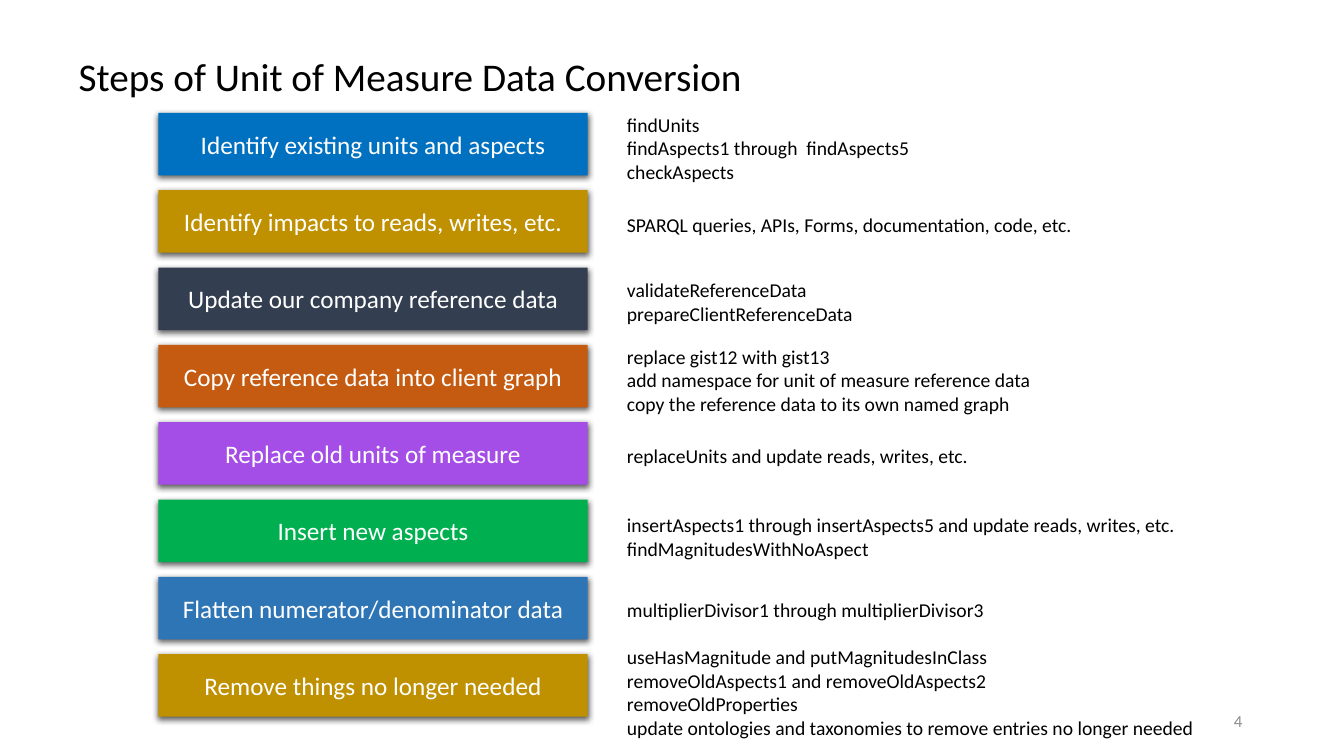
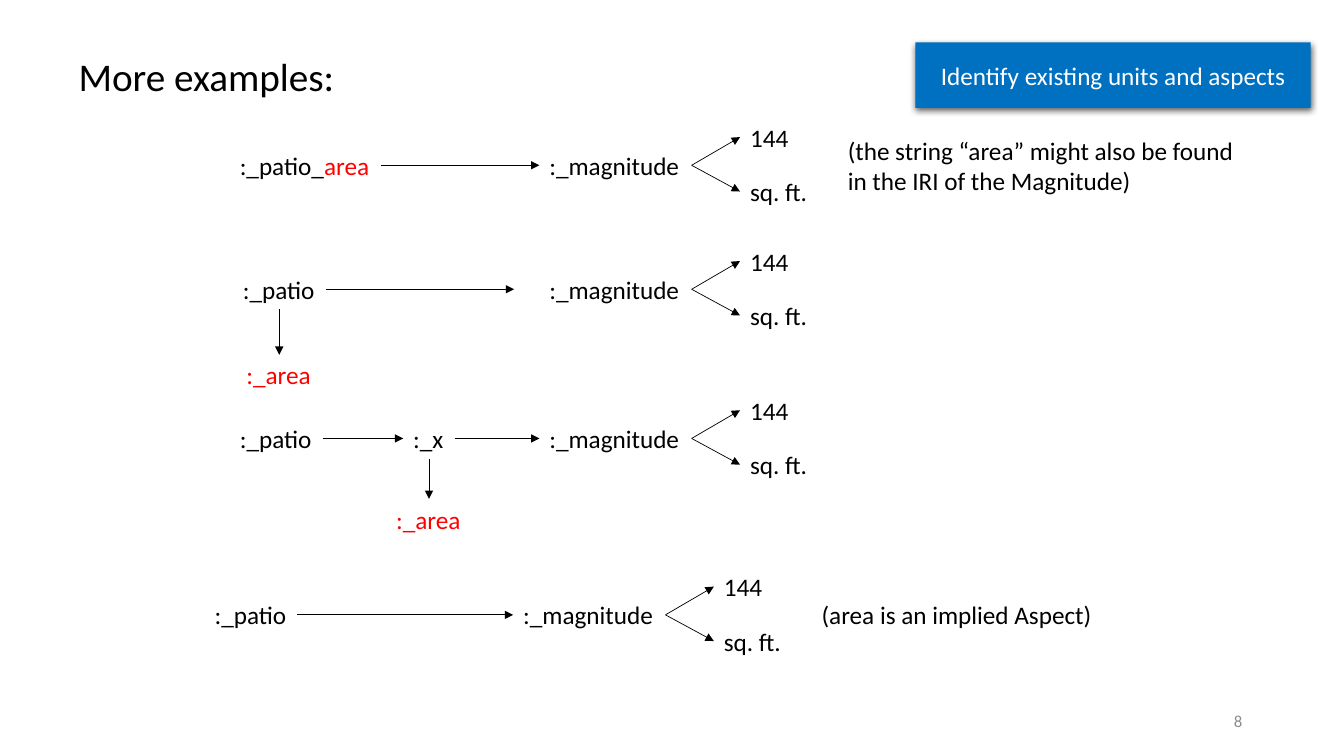
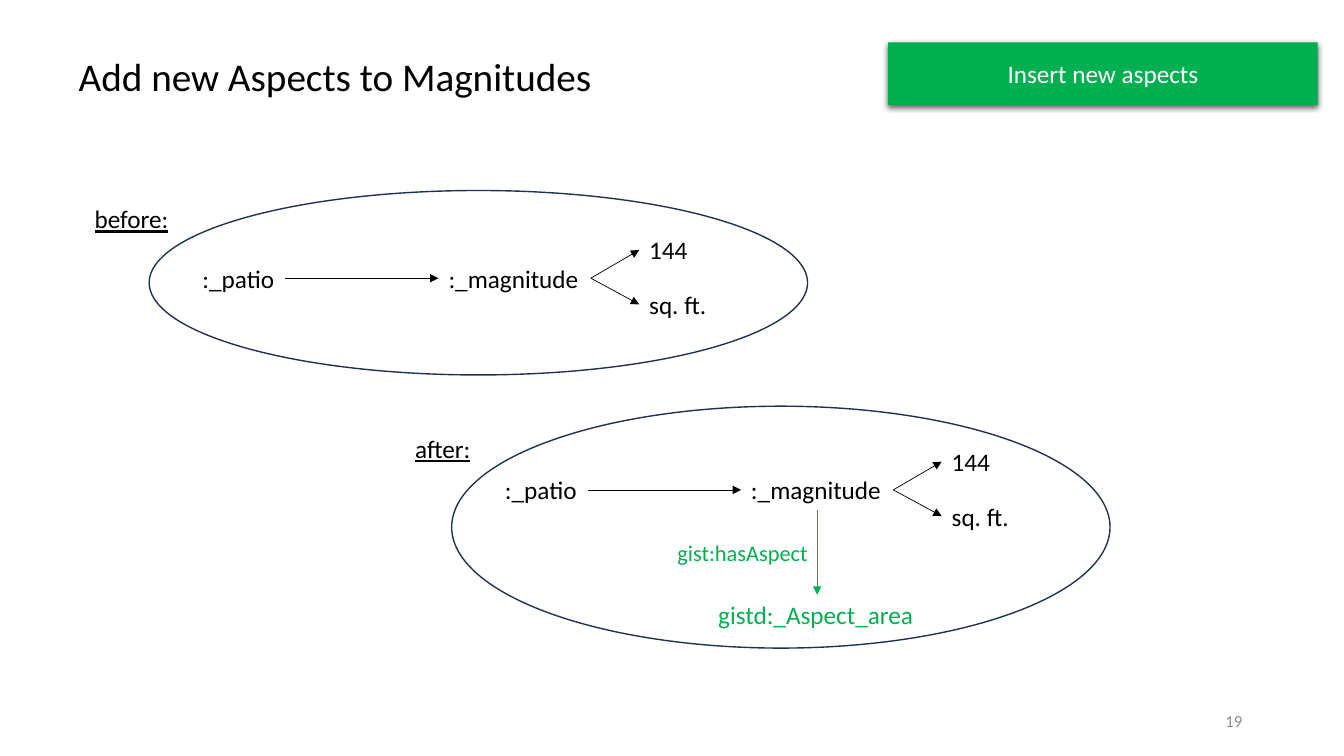
from dataclasses import dataclass
from typing import Optional

from lxml.etree import SubElement
from pptx import Presentation
from pptx.dml.color import RGBColor
from pptx.enum.shapes import MSO_CONNECTOR, MSO_SHAPE
from pptx.enum.text import MSO_ANCHOR, MSO_AUTO_SIZE, PP_ALIGN
from pptx.oxml.ns import qn
from pptx.shapes.autoshape import Shape
from pptx.shapes.connector import Connector
from pptx.slide import Slide
from pptx.text.text import Font
from pptx.util import Inches, Pt

# Shared colours and measures
BLACK = RGBColor(0x00, 0x00, 0x00)
WHITE = RGBColor(0xFF, 0xFF, 0xFF)
GREY = RGBColor(0x8C, 0x8C, 0x8C)
RED = RGBColor(0xFF, 0x00, 0x00)
BLUE = RGBColor(0x00, 0x70, 0xC0)
GOLD = RGBColor(0xBF, 0x90, 0x00)
SLATE = RGBColor(0x33, 0x3F, 0x50)
ORANGE = RGBColor(0xC5, 0x5A, 0x11)
PURPLE = RGBColor(0xA4, 0x4D, 0xE7)
GREEN = RGBColor(0x00, 0xB0, 0x50)
STEEL = RGBColor(0x2E, 0x75, 0xB6)
NAVY = RGBColor(0x1E, 0x32, 0x56)

FONT_NAME = "Calibri"
NODE_HEIGHT = 0.4
MAGNITUDE_WIDTH = 1.51
BAND_WIDTH, BAND_HEIGHT = 4.26, 0.62
TOP, LEFT, BOTTOM, RIGHT = range(4)


@dataclass(frozen=True)
class Step:
    label: str
    color: RGBColor
    detail_top: float
    details: tuple[str, ...]


@dataclass(frozen=True)
class Node:
    text: str
    left: float
    width: float
    highlight: str = ""


@dataclass(frozen=True)
class Example:
    middle: float
    magnitude_left: float
    subjects: tuple[Node, ...]
    aspect_middle: Optional[float] = None
    arrow_end: Optional[float] = None
    note: str = ""


@dataclass(frozen=True)
class Stage:
    label: str
    label_left: float
    label_top: float
    label_width: float
    oval: tuple[float, float, float, float]
    example: Example


STEPS = (
    Step("Identify existing units and aspects", BLUE, 1.07,
         ("findUnits", "findAspects1 through  findAspects5", "checkAspects")),
    Step("Identify impacts to reads, writes, etc.", GOLD, 2.06,
         ("SPARQL queries, APIs, Forms, documentation, code, etc.",)),
    Step("Update our company reference data", SLATE, 2.71,
         ("validateReferenceData", "prepareClientReferenceData")),
    Step("Copy reference data into client graph", ORANGE, 3.37,
         ("replace gist12 with gist13",
          "add namespace for unit of measure reference data",
          "copy the reference data to its own named graph")),
    Step("Replace old units of measure", PURPLE, 4.36,
         ("replaceUnits and update reads, writes, etc.",)),
    Step("Insert new aspects", GREEN, 5.04,
         ("insertAspects1 through insertAspects5 and update reads, writes, etc.",
          "findMagnitudesWithNoAspect")),
    Step("Flatten numerator/denominator data", STEEL, 5.88,
         ("multiplierDivisor1 through multiplierDivisor3",)),
    Step("Remove things no longer needed", GOLD, 6.35,
         ("useHasMagnitude and putMagnitudesInClass",
          "removeOldAspects1 and removeOldAspects2",
          "removeOldProperties",
          "update ontologies and taxonomies to remove entries no longer needed")),
)

EXAMPLES = (
    Example(1.64, 5.35, (Node(":_patio_", 2.28, 1.5, highlight="area"),),
            note="(the string “area” might also be found in the IRI of the Magnitude)"),
    Example(2.87, 5.35, (Node(":_patio", 2.31, 0.92),), aspect_middle=3.72, arrow_end=5.1),
    Example(4.35, 5.35, (Node(":_patio", 2.28, 0.92), Node(":_x", 4, 0.51)),
            aspect_middle=5.15),
    Example(6.1, 5.09, (Node(":_patio", 2.03, 0.92),), note="(area is an implied Aspect)"),
)

BEFORE = Stage("before:", 0.84, 1.97, 0.94, (1.48, 1.89, 6.53, 1.83),
               Example(2.76, 4.35, (Node(":_patio", 1.91, 0.92),)))
AFTER = Stage("after:", 4.02, 4.25, 0.76, (4.48, 4.03, 6.53, 2.4),
              Example(4.86, 7.35, (Node(":_patio", 4.91, 0.92),)))


def format_font(font: Font, color: RGBColor, size: float, underline: bool = False) -> None:
    values = {"name": FONT_NAME, "size": Pt(size), "bold": False}
    if underline:
        values["underline"] = True
    for name, value in values.items():
        setattr(font, name, value)
    font.color.rgb = color


def add_text(slide: Slide, lines: tuple[str, ...], left: float, top: float, width: float,
             height: float, size: float = 18, color: RGBColor = BLACK, wrap: bool = False,
             align: PP_ALIGN = PP_ALIGN.LEFT, anchor: MSO_ANCHOR = MSO_ANCHOR.TOP,
             underline: bool = False) -> Shape:
    shape = slide.shapes.add_textbox(Inches(left), Inches(top), Inches(width), Inches(height))
    frame = shape.text_frame
    frame.text = "\n".join(lines)
    frame.word_wrap = wrap
    frame.auto_size = MSO_AUTO_SIZE.NONE if wrap else MSO_AUTO_SIZE.SHAPE_TO_FIT_TEXT
    frame.vertical_anchor = anchor
    for paragraph in frame.paragraphs:
        paragraph.alignment = align
        format_font(paragraph.runs[0].font, color, size, underline)
    return shape


def add_band(slide: Slide, text: str, color: RGBColor, left: float, top: float,
             width: float = BAND_WIDTH, height: float = BAND_HEIGHT) -> None:
    band = slide.shapes.add_shape(MSO_SHAPE.RECTANGLE, Inches(left), Inches(top),
                                  Inches(width), Inches(height))
    band.fill.solid()
    band.fill.fore_color.rgb = color
    band.line.fill.background()
    # Soft shadow below the band
    band.shadow.inherit = False
    effects = band._element.spPr.find(qn("a:effectLst"))
    shadow = SubElement(effects, qn("a:outerShdw"), blurRad=str(Pt(4.5)), dist=str(Pt(1.5)),
                        dir="5400000", algn="ctr", rotWithShape="0")
    shadow_color = SubElement(shadow, qn("a:srgbClr"), val="000000")
    SubElement(shadow_color, qn("a:alpha"), val="63000")
    frame = band.text_frame
    frame.text = text
    frame.word_wrap = True
    frame.vertical_anchor = MSO_ANCHOR.MIDDLE
    paragraph = frame.paragraphs[0]
    paragraph.alignment = PP_ALIGN.CENTER
    format_font(paragraph.runs[0].font, WHITE, 18)


def add_arrow(slide: Slide, start: Shape, start_side: int, end: Optional[Shape] = None,
              end_side: int = LEFT, end_point: tuple[float, float] = (0, 0),
              color: RGBColor = BLACK, weight: float = 0.5) -> Connector:
    arrow = slide.shapes.add_connector(MSO_CONNECTOR.STRAIGHT, 0, 0,
                                       Inches(end_point[0]), Inches(end_point[1]))
    arrow.begin_connect(start, start_side)
    if end is not None:
        arrow.end_connect(end, end_side)
    arrow.line.color.rgb = color
    arrow.line.width = Pt(weight)
    SubElement(arrow.line._get_or_add_ln(), qn("a:tailEnd"), type="triangle")
    SubElement(arrow._element.spPr, qn("a:effectLst"))
    return arrow


def add_node(slide: Slide, node: Node, middle: float, color: RGBColor = BLACK) -> Shape:
    shape = add_text(slide, (node.text,), node.left, middle - NODE_HEIGHT / 2,
                     node.width, NODE_HEIGHT, color=color)
    if node.highlight:
        run = shape.text_frame.paragraphs[0].add_run()
        run.text = node.highlight
        format_font(run.font, RED, 18)
    return shape


def add_aspect(slide: Slide, parent: Shape, text: str, width: float, middle: float,
               color: RGBColor, arrow_color: RGBColor = BLACK, weight: float = 0.5) -> None:
    center = (parent.left + parent.width / 2) / Inches(1)
    aspect = add_node(slide, Node(text, center - width / 2, width), middle, color)
    add_arrow(slide, parent, BOTTOM, aspect, TOP, color=arrow_color, weight=weight)


def add_example(slide: Slide, example: Example) -> Shape:
    """Draw the chain from subject to magnitude, its value and its unit."""
    middle, left = example.middle, example.magnitude_left
    subjects = [add_node(slide, node, middle) for node in example.subjects]
    magnitude = add_node(slide, Node(":_magnitude", left, MAGNITUDE_WIDTH), middle)
    for start, end in zip(subjects, subjects[1:]):
        add_arrow(slide, start, RIGHT, end)
    if example.arrow_end is None:
        add_arrow(slide, subjects[-1], RIGHT, magnitude)
    else:
        add_arrow(slide, subjects[-1], RIGHT, end_point=(example.arrow_end, middle))
    for text, width, offset in (("144", 0.59, -0.28), ("sq. ft.", 0.78, 0.26)):
        part = add_node(slide, Node(text, left + 1.99, width), middle + offset)
        add_arrow(slide, magnitude, RIGHT, part)
    if example.aspect_middle is not None:
        add_aspect(slide, subjects[-1], ":_area", 0.85, example.aspect_middle, RED)
    if example.note:
        add_text(slide, (example.note,), left + 2.96, middle - 0.35, 4.11, 0.7,
                 wrap=True, anchor=MSO_ANCHOR.MIDDLE)
    return magnitude


def add_stage(slide: Slide, stage: Stage) -> Shape:
    magnitude = add_example(slide, stage.example)
    oval = slide.shapes.add_shape(MSO_SHAPE.OVAL, *map(Inches, stage.oval))
    oval.shadow.inherit = False
    oval.fill.background()
    oval.line.color.rgb = NAVY
    oval.line.width = Pt(1)
    add_text(slide, (stage.label,), stage.label_left, stage.label_top, stage.label_width,
             NODE_HEIGHT, underline=True)
    return magnitude


def add_slide(presentation: Presentation, title: str, number: int) -> Slide:
    slide = presentation.slides.add_slide(presentation.slide_layouts[5])
    shape = slide.shapes.title
    shape.left, shape.top, shape.width, shape.height = map(Inches, (0.68, 0.47, 8, 0.57))
    frame = shape.text_frame
    frame.text = title
    frame.word_wrap = True
    frame.auto_size = MSO_AUTO_SIZE.NONE
    frame.vertical_anchor = MSO_ANCHOR.TOP
    frame.paragraphs[0].alignment = PP_ALIGN.LEFT
    format_font(frame.paragraphs[0].runs[0].font, BLACK, 28)
    add_text(slide, (str(number),), 9.42, 6.95, 3, 0.4, size=12, color=GREY, wrap=True,
             align=PP_ALIGN.RIGHT, anchor=MSO_ANCHOR.MIDDLE)
    return slide


def build_steps(presentation: Presentation) -> None:
    slide = add_slide(presentation, "Steps of Unit of Measure Data Conversion", 4)
    first_top, last_top = 1.12, 6.49
    pitch = (last_top - first_top) / (len(STEPS) - 1)
    for index, step in enumerate(STEPS):
        add_band(slide, step.label, step.color, 1.57, first_top + index * pitch)
        add_text(slide, step.details, 6.12, step.detail_top, 6.2,
                 0.1 + 0.24 * len(step.details), size=14, wrap=True)


def build_examples(presentation: Presentation) -> None:
    slide = add_slide(presentation, "More examples:", 8)
    for example in EXAMPLES:
        add_example(slide, example)
    add_band(slide, STEPS[0].label, BLUE, 9.08, 0.42, width=3.92, height=0.65)


def build_new_aspects(presentation: Presentation) -> None:
    slide = add_slide(presentation, "Add new Aspects to Magnitudes", 19)
    add_stage(slide, BEFORE)
    magnitude = add_stage(slide, AFTER)
    # The aspect that is added
    add_aspect(slide, magnitude, "gistd:_Aspect_area", 2.16, 6.1, GREEN, GREEN, 0.75)
    add_text(slide, ("gist:hasAspect",), 6.55, 5.3, 1.56, 0.37, size=16, color=GREEN,
             align=PP_ALIGN.RIGHT)
    add_band(slide, "Insert new aspects", GREEN, 8.81, 0.42)


def main() -> None:
    presentation = Presentation()
    presentation.slide_width = Inches(13.33)
    presentation.slide_height = Inches(7.5)
    build_steps(presentation)
    build_examples(presentation)
    build_new_aspects(presentation)
    presentation.save("out.pptx")


if __name__ == "__main__":
    main()
